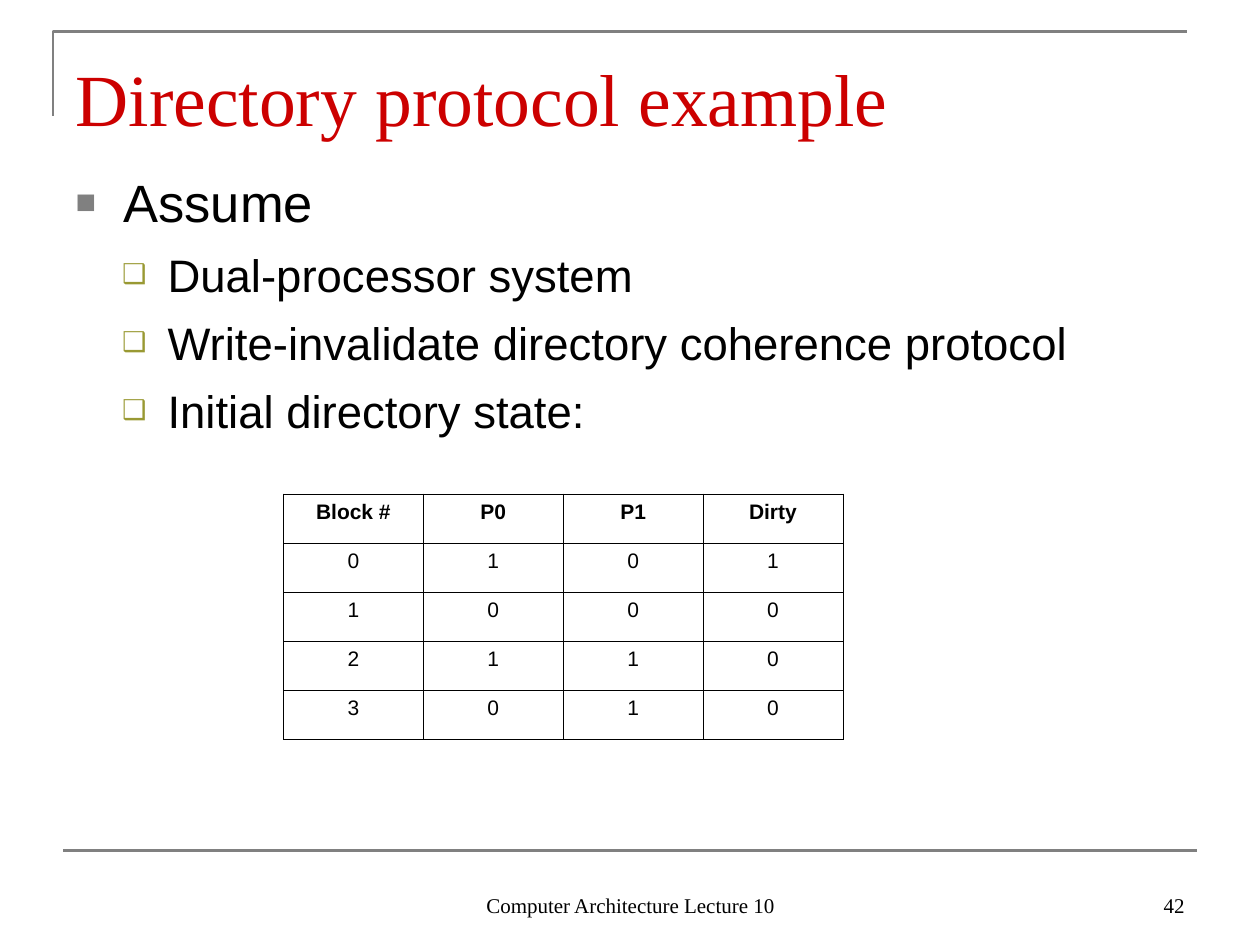
from lxml import etree
from pptx import Presentation
from pptx.dml.color import RGBColor
from pptx.enum.shapes import MSO_CONNECTOR
from pptx.enum.text import MSO_ANCHOR, MSO_AUTO_SIZE, PP_ALIGN
from pptx.oxml.ns import qn
from pptx.util import Inches, Pt

RED = RGBColor(0xCC, 0x00, 0x00)
GRAY = RGBColor(0x80, 0x80, 0x80)
OLIVE = RGBColor(0x99, 0x99, 0x33)
BLACK = RGBColor(0x00, 0x00, 0x00)
WHITE = RGBColor(0xFF, 0xFF, 0xFF)

LEFT, CENTER, RIGHT = PP_ALIGN.LEFT, PP_ALIGN.CENTER, PP_ALIGN.RIGHT
TOP, BOTTOM = MSO_ANCHOR.TOP, MSO_ANCHOR.BOTTOM
NO_FIT = MSO_AUTO_SIZE.NONE
STRAIGHT = MSO_CONNECTOR.STRAIGHT

SERIF, SANS = "Times New Roman", "Arial"
TITLE_FONT = {"name": SERIF, "size": Pt(42)}
FOOTER_FONT = {"name": SERIF, "size": Pt(12)}
CELL_FONT = {"name": SANS, "size": Pt(12)}

BULLET_LEVELS = [
    {"mark": "■", "color": GRAY, "percent": 65, "size": 30,
     "margin": 0.38, "hanging": 0.38, "before": 0},
    {"mark": "❑", "color": OLIVE, "percent": 60, "size": 26,
     "margin": 0.73, "hanging": 0.36, "before": 7.8},
]
BULLETS = [
    (0, "Assume"),
    (1, "Dual-processor system"),
    (1, "Write-invalidate directory coherence protocol"),
    (1, "Initial directory state:"),
]
DIRECTORY = [
    ["Block #", "P0", "P1", "Dirty"],
    ["0", "1", "0", "1"],
    ["1", "0", "0", "0"],
    ["2", "1", "1", "0"],
    ["3", "0", "1", "0"],
]


def apply(target, values):
    for name, value in values.items():
        setattr(target, name, value)


class SlideBuilder:
    def __init__(self, slide):
        self.slide = slide
        self.shapes = slide.shapes

    def place(self, box, left, top, width, height):
        apply(box, {"left": Inches(left), "top": Inches(top),
                    "width": Inches(width), "height": Inches(height)})

    def frame(self, box, anchor, top=0.05, bottom=0.05):
        apply(box.text_frame, {
            "word_wrap": True, "auto_size": NO_FIT, "vertical_anchor": anchor,
            "margin_left": Inches(0.1), "margin_right": Inches(0.1),
            "margin_top": Inches(top), "margin_bottom": Inches(bottom)})
        return box.text_frame

    def add_text(self, para, text, font, color=BLACK, align=LEFT):
        para.alignment = align
        span = para.add_run()
        span.text = text
        apply(span.font, font)
        span.font.color.rgb = color

    def title(self, text, *bounds):
        box = self.shapes.title
        self.place(box, *bounds)
        frame = self.frame(box, TOP, top=0.12, bottom=0)
        self.add_text(frame.paragraphs[0], text, TITLE_FONT, RED)

    def bullet(self, para, level):
        """Give a paragraph the indent and bullet of its level."""
        properties = para._p.get_or_add_pPr()
        properties.set("marL", str(Inches(level["margin"])))
        properties.set("indent", str(-Inches(level["hanging"])))
        color = etree.SubElement(properties, qn("a:buClr"))
        etree.SubElement(color, qn("a:srgbClr"), val=str(level["color"]))
        etree.SubElement(properties, qn("a:buSzPct"),
                         val=str(level["percent"] * 1000))
        etree.SubElement(properties, qn("a:buFont"), typeface=SANS)
        etree.SubElement(properties, qn("a:buChar"), char=level["mark"])

    def body(self, items, *bounds):
        box = self.slide.placeholders[1]
        self.place(box, *bounds)
        frame = self.frame(box, TOP, top=0.1)
        for index, (depth, text) in enumerate(items):
            para = frame.add_paragraph() if index else frame.paragraphs[0]
            level = BULLET_LEVELS[depth]
            self.bullet(para, level)
            apply(para, {"level": depth, "space_before": Pt(level["before"])})
            self.add_text(para, text, {"name": SANS, "size": Pt(level["size"])})

    def footer(self, text, align, *bounds):
        box = self.shapes.add_textbox(*map(Inches, bounds))
        frame = self.frame(box, BOTTOM)
        self.add_text(frame.paragraphs[0], text, FOOTER_FONT, align=align)

    def style_line(self, line):
        line.color.rgb = GRAY
        line.width = Pt(1.5)

    def corner(self, left, top, right, bottom):
        builder = self.shapes.build_freeform(Inches(left), Inches(bottom))
        points = [(left, top), (right, top)]
        builder.add_line_segments(
            [(Inches(x), Inches(y)) for x, y in points], close=False)
        outline = builder.convert_to_shape()
        outline.shadow.inherit = False
        outline.fill.background()
        self.style_line(outline.line)

    def rule(self, left, right, top):
        line = self.shapes.add_connector(
            STRAIGHT, Inches(left), Inches(top), Inches(right), Inches(top))
        self.style_line(line.line)
        etree.SubElement(line._element.spPr, qn("a:effectLst"))

    def borders(self, cell):
        properties = cell._tc.get_or_add_tcPr()
        for index, side in enumerate(("lnL", "lnR", "lnT", "lnB")):
            line = etree.Element(qn(f"a:{side}"), w=str(Pt(0.45)))
            fill = etree.SubElement(line, qn("a:solidFill"))
            etree.SubElement(fill, qn("a:srgbClr"), val=str(BLACK))
            properties.insert(index, line)

    def table(self, rows, left, top, column_width, row_height):
        columns = len(rows[0])
        table = self.shapes.add_table(
            len(rows), columns, Inches(left), Inches(top),
            Inches(column_width * columns),
            Inches(row_height * len(rows))).table
        apply(table, {"first_row": False, "horz_banding": False})
        for column in table.columns:
            column.width = Inches(column_width)
        for row_index, values in enumerate(rows):
            table.rows[row_index].height = Inches(row_height)
            for column_index, text in enumerate(values):
                cell = table.cell(row_index, column_index)
                apply(cell, {
                    "margin_left": Inches(0.08), "margin_right": Inches(0.08),
                    "margin_top": Inches(0.05), "margin_bottom": Inches(0.05)})
                if row_index:
                    cell.fill.solid()
                    cell.fill.fore_color.rgb = WHITE
                else:
                    cell.fill.background()
                self.borders(cell)
                font = {**CELL_FONT, "bold": row_index == 0}
                self.add_text(cell.text_frame.paragraphs[0], text, font,
                              align=CENTER)


def main():
    deck = Presentation()
    apply(deck, {"slide_width": Inches(10), "slide_height": Inches(7.5)})
    page = SlideBuilder(deck.slides.add_slide(deck.slide_layouts[1]))
    page.corner(0.42, 0.25, 9.42, 0.92)
    page.rule(0.5, 9.5, 6.75)
    page.title("Directory protocol example", 0.5, 0.3, 9, 0.78)
    page.body(BULLETS, 0.5, 1.25, 9, 2.67)
    page.footer("Computer Architecture Lecture 10", CENTER,
                3.42, 6.83, 3.17, 0.5)
    page.footer("42", RIGHT, 7.17, 6.83, 2.33, 0.5)
    page.table(DIRECTORY, 2.25, 3.92, 1.11, 0.39)
    deck.save("out.pptx")


if __name__ == "__main__":
    main()
